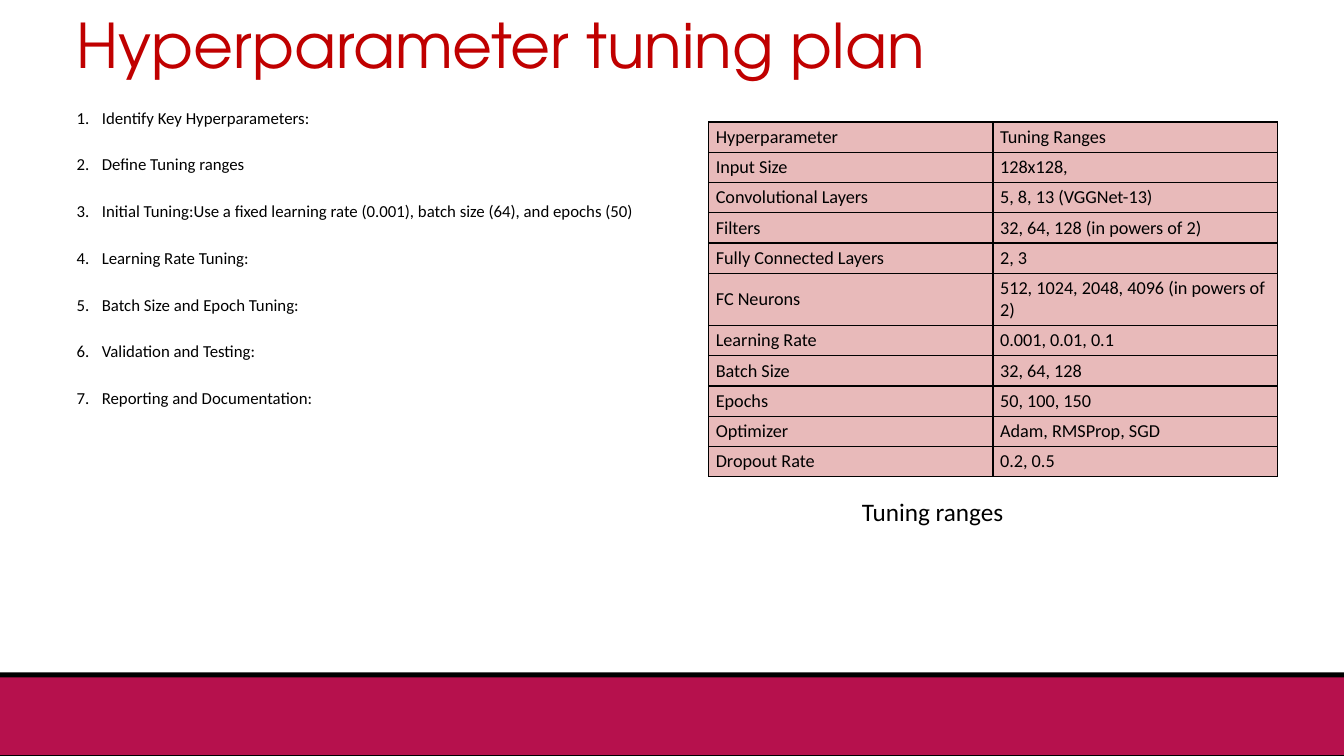
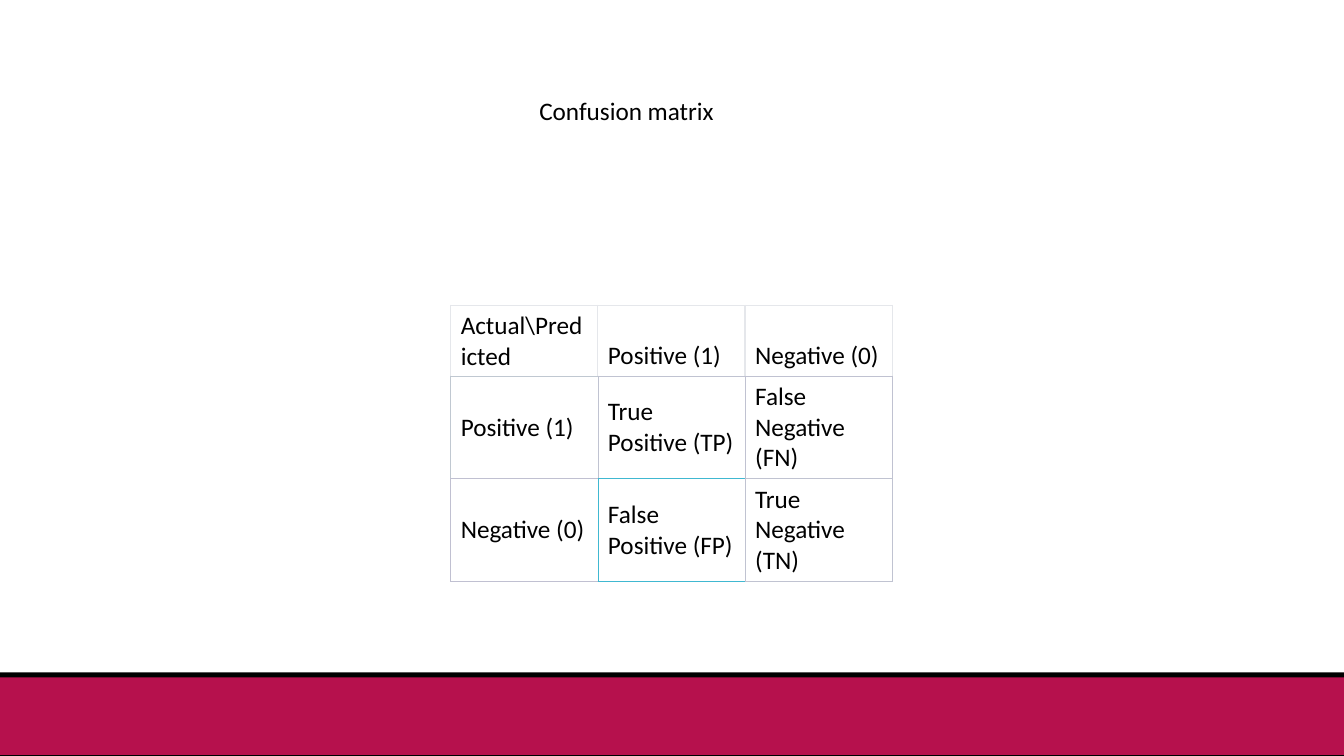
"""Build two slides: a hyperparameter tuning plan and a confusion matrix."""
from dataclasses import dataclass

from lxml import etree
from pptx import Presentation
from pptx.dml.color import RGBColor
from pptx.enum.shapes import MSO_SHAPE
from pptx.enum.text import MSO_ANCHOR, MSO_AUTO_SIZE, PP_ALIGN
from pptx.oxml.ns import qn
from pptx.util import Inches, Pt

RECTANGLE = MSO_SHAPE.RECTANGLE
MIDDLE, BOTTOM = MSO_ANCHOR.MIDDLE, MSO_ANCHOR.BOTTOM
NO_FIT, GROW = MSO_AUTO_SIZE.NONE, MSO_AUTO_SIZE.SHAPE_TO_FIT_TEXT
LEFT = PP_ALIGN.LEFT


@dataclass(frozen=True)
class Theme:
    title_font: str = "TeX Gyre Adventor"
    body_font: str = "Calibri"
    title_size: int = 44
    list_size: int = 12
    table_size: int = 13
    text_size: int = 18
    title: str = "C00000"
    text: str = "000000"
    band: str = "B6114D"
    cell: str = "E8BABA"
    pale: str = "E5E7EB"


theme = Theme()


def style(p, size, color=theme.text, name=theme.body_font):
    for r in p.runs:
        r.font.size = Pt(size)
        r.font.name = name
        r.font.bold = False
        r.font.color.rgb = RGBColor.from_string(color)


def add_grid(slide, left, top, col_width, row_heights, rows, size, edges):
    n_rows, n_cols = len(rows), len(rows[0])
    frame = slide.shapes.add_table(
        n_rows, n_cols, Inches(left), Inches(top),
        Inches(col_width * n_cols), Inches(sum(row_heights)))
    table = frame.table
    table.first_row = table.horz_banding = False
    for col in table.columns:
        col.width = Inches(col_width)
    for i, (height, texts) in enumerate(zip(row_heights, rows)):
        table.rows[i].height = Inches(height)
        for j, text in enumerate(texts):
            cell = table.cell(i, j)
            cell.text = text
            cell.vertical_anchor = MIDDLE if i else BOTTOM
            style(cell.text_frame.paragraphs[0], size)
            tc_pr = cell._tc.get_or_add_tcPr()
            for side, (color, width) in zip("LRTB", edges(i, j)):
                ln = etree.SubElement(tc_pr, qn(f"a:ln{side}"), w=str(Pt(width)))
                fill = etree.SubElement(ln, qn("a:solidFill"))
                etree.SubElement(fill, qn("a:srgbClr"), val=color)
            cell.fill.background()
    return table


prs = Presentation()
prs.slide_width, prs.slide_height = Inches(13.33), Inches(7.5)
plan = prs.slides.add_slide(prs.slide_layouts[1])
matrix = prs.slides.add_slide(prs.slide_layouts[6])

master_tree = prs.slide_master.element.cSld.spTree
bands = [(6.67, 0.84, theme.text), (6.72, 0.77, theme.band)]
for i, (top, height, color) in enumerate(bands):
    sp = plan.shapes.add_shape(
        RECTANGLE, 0, Inches(top), prs.slide_width, Inches(height))
    sp.shadow.inherit = False
    sp.fill.solid()
    sp.fill.fore_color.rgb = RGBColor.from_string(color)
    sp.line.fill.background()
    master_tree.insert(2 + i, sp.element)

title, body = plan.placeholders
for sp, top, height in [(title, -0.24, 1.45), (body, 1, 5.68)]:
    sp.left, sp.top = Inches(0.66), Inches(top)
    sp.width, sp.height = Inches(11.5), Inches(height)
    sp.text_frame.auto_size = NO_FIT

title.text_frame.text = "Hyperparameter tuning plan"
title.text_frame.vertical_anchor = MIDDLE
p = title.text_frame.paragraphs[0]
p.alignment = LEFT
p.line_spacing = 0.9
style(p, theme.title_size, theme.title, theme.title_font)

steps = [
    "Identify Key Hyperparameters:",
    "Define Tuning ranges",
    "Initial Tuning:Use a fixed learning rate (0.001), batch size (64), and epochs (50)",
    "Learning Rate Tuning:",
    "Batch Size and Epoch Tuning:",
    "Validation and Testing:",
    "Reporting and Documentation:",
]
tf = body.text_frame
tf.text = "\n".join(steps)
for i, p in enumerate(tf.paragraphs):
    p_pr = p._p.get_or_add_pPr()
    p_pr.set("marL", str(Inches(0.25)))
    p_pr.set("indent", str(-Inches(0.25)))
    etree.SubElement(p_pr, qn("a:buFont"), typeface="+mj-lt")
    etree.SubElement(p_pr, qn("a:buAutoNum"), type="arabicPeriod")
    tabs = etree.SubElement(p_pr, qn("a:tabLst"))
    etree.SubElement(tabs, qn("a:tab"), pos=str(Inches(0.5)), algn="l")
    p.line_spacing = 1.07
    p.space_before = Pt(10 if i else 0)
    p.space_after = Pt(8)
    style(p, theme.list_size)

ranges = [
    ("Hyperparameter", "Tuning Ranges"),
    ("Input Size", "128x128,"),
    ("Convolutional Layers", "5, 8, 13 (VGGNet-13)"),
    ("Filters", "32, 64, 128 (in powers of 2)"),
    ("Fully Connected Layers", "2, 3"),
    ("FC Neurons", "512, 1024, 2048, 4096 (in powers of 2)"),
    ("Learning Rate", "0.001, 0.01, 0.1"),
    ("Batch Size", "32, 64, 128"),
    ("Epochs", "50, 100, 150"),
    ("Optimizer", "Adam, RMSProp, SGD"),
    ("Dropout Rate", "0.2, 0.5"),
]
heights = [0.51 if name == "FC Neurons" else 0.29 for name, _ in ranges]
table = add_grid(plan, 7.03, 1.21, 2.82, heights, ranges, theme.table_size,
                 lambda i, j: [(theme.text, 1)] * 4)
for cell in table.iter_cells():
    cell.margin_left = cell.margin_right = Inches(0.07)
    cell.margin_top = cell.margin_bottom = Inches(0.04)
    cell.fill.solid()
    cell.fill.fore_color.rgb = RGBColor.from_string(theme.cell)

outcomes = [
    ("Actual\\Predicted", "Positive (1)", "Negative (0)"),
    ("Positive (1)", "True Positive (TP)", "False Negative (FN)"),
    ("Negative (0)", "False Positive (FP)", "True Negative (TN)"),
]
pale = (theme.pale, 1)
blue, violet, gray, lilac, teal = [
    (color, 0.5) for color in ("C0C8D1", "C0C3D1", "C0C2D1", "C0C0D1", "40B8D1")]
across = [[pale] * 3, [blue, violet, gray],
          [lilac, teal, violet], [lilac, teal, violet]]
down = [[pale] * 4, [blue, violet, gray, gray], [lilac, teal, violet, violet]]
add_grid(matrix, 4.47, 3.03, 1.46, [0.7, 1.02, 1.02], outcomes, theme.text_size,
         lambda i, j: (down[i][j], down[i][j + 1], across[i][j], across[i + 1][j]))

captions = [
    (plan, "Tuning ranges", 8.45, 4.87, 3.71, True),
    (matrix, "Confusion matrix", 5.25, 0.9, 1.95, False),
]
for s, text, left, top, width, wrap in captions:
    sp = s.shapes.add_textbox(Inches(left), Inches(top), Inches(width), Inches(0.4))
    tf = sp.text_frame
    tf.word_wrap = wrap
    tf.auto_size = GROW
    tf.text = text
    style(tf.paragraphs[0], theme.text_size)

prs.save("out.pptx")
